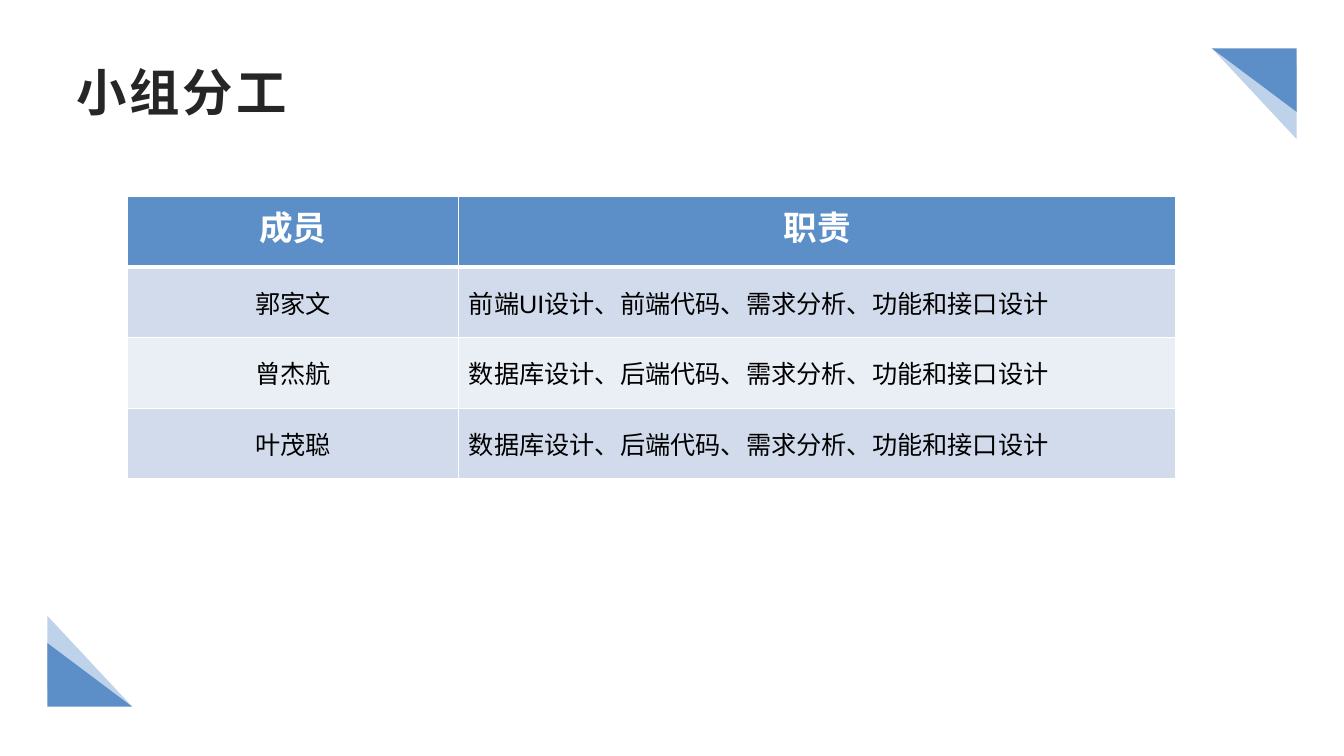
from dataclasses import dataclass

from lxml import etree
from pptx import Presentation
from pptx.dml.color import RGBColor
from pptx.enum.shapes import MSO_SHAPE
from pptx.enum.text import MSO_ANCHOR, PP_ALIGN
from pptx.oxml.ns import qn
from pptx.util import Inches, Pt

TRIANGLE = MSO_SHAPE.ISOSCELES_TRIANGLE
TOP, MIDDLE = MSO_ANCHOR.TOP, MSO_ANCHOR.MIDDLE
LEFT, CENTER = PP_ALIGN.LEFT, PP_ALIGN.CENTER


@dataclass(frozen=True)
class Theme:
    """Colours, fonts and type sizes of the slide."""
    blue: str = "5C8FC7"
    pale: str = "BED2E9"
    bands: tuple = ("D2DBEB", "EAEEF5")
    white: str = "FFFFFF"
    black: str = "000000"
    dark: str = "262626"
    latin: str = "Arial"
    asian: str = "Noto Sans CJK SC"
    title: int = 36
    head: int = 24
    body: int = 18


THEME = Theme()
ROWS = [
    ("成员", "职责"),
    ("郭家文", "前端UI设计、前端代码、需求分析、功能和接口设计"),
    ("曾杰航", "数据库设计、后端代码、需求分析、功能和接口设计"),
    ("叶茂聪", "数据库设计、后端代码、需求分析、功能和接口设计"),
]


def write(frame, text, *, size, color, font=THEME.latin, bold=False,
          align=LEFT, space=0):
    """Put one formatted line of text into a frame."""
    para = frame.paragraphs[0]
    para.alignment = align
    run = para.add_run()
    run.text = text
    run.font.name = font
    run.font.size = Pt(size)
    run.font.bold = bold
    run.font.color.rgb = RGBColor.from_string(color)
    props = run.font._element
    etree.SubElement(props, qn("a:ea")).set("typeface", THEME.asian)
    if space:
        props.set("spc", str(space * 100))


def paint(shape, color):
    """Give a shape a flat fill with no line or shadow."""
    shape.shadow.inherit = False
    shape.fill.solid()
    shape.fill.fore_color.rgb = RGBColor.from_string(color)
    shape.line.fill.background()


def edge(cell, side, width):
    """Draw one white border of a cell."""
    line = etree.SubElement(cell._tc.get_or_add_tcPr(), qn("a:ln" + side))
    line.set("w", str(Pt(width)))
    fill = etree.SubElement(line, qn("a:solidFill"))
    etree.SubElement(fill, qn("a:srgbClr")).set("val", THEME.white)


def corner(slide, x, y, way):
    """Draw a pair of triangles from tip x, y; way 1 is right and down."""
    wide, high = 0.84, 0.63
    far = x + way * wide
    tip = Inches(x), Inches(y)
    pen = slide.shapes.build_freeform(*tip)
    pen.add_line_segments([(Inches(far), Inches(y + way * drop))
                           for drop in (0.17, 0.9)])
    paint(pen.convert_to_shape(), THEME.pale)
    mid_x, mid_y = x + way * wide / 2, y + way * high / 2
    front = slide.shapes.add_shape(
        TRIANGLE, Inches(mid_x - high / 2), Inches(mid_y - wide / 2),
        Inches(high), Inches(wide))
    front.adjustments[0] = 1
    front.rotation = 180 + way * 90
    paint(front, THEME.blue)


def heading(slide, x, y, wide, high):
    """Place the title in its box."""
    box = slide.shapes.add_textbox(*map(Inches, (x, y, wide, high)))
    frame = box.text_frame
    frame.word_wrap = True
    frame.vertical_anchor = MIDDLE
    frame.margin_left, frame.margin_right = Inches(0.11), Inches(0.08)
    frame.margin_top = frame.margin_bottom = Inches(0.04)
    write(frame, "小组分工", size=THEME.title, color=THEME.dark,
          font=THEME.asian, bold=True, space=2)


def duties(slide, x, y, wide, high):
    """Place the table of members and duties in its box."""
    table = slide.shapes.add_table(
        len(ROWS), 2, *map(Inches, (x, y, wide, high))).table
    table.horz_banding = False
    first = 3.29
    table.columns[0].width = Inches(first)
    table.columns[1].width = Inches(wide - first)
    for r, row in enumerate(ROWS):
        table.rows[r].height = Inches(high / len(ROWS))
        head = r == 0
        for c, text in enumerate(row):
            cell = table.cell(r, c)
            edge(cell, "L", 1)
            edge(cell, "R", 1)
            edge(cell, "T", 3 if r == 1 else 1)
            edge(cell, "B", 3 if head else 1)
            cell.fill.solid()
            cell.fill.fore_color.rgb = RGBColor.from_string(
                THEME.blue if head else THEME.bands[(r - 1) % 2])
            cell.vertical_anchor = TOP if head else MIDDLE
            write(cell.text_frame, text, bold=head,
                  size=THEME.head if head else THEME.body,
                  color=THEME.white if head else THEME.black,
                  align=CENTER if head or c == 0 else LEFT)


def main():
    """Build and save the slide."""
    deck = Presentation()
    deck.slide_width, deck.slide_height = Inches(13.33), Inches(7.5)
    slide = deck.slides.add_slide(deck.slide_layouts[6])
    corner(slide, 12.02, 0.48, 1)
    corner(slide, 1.31, 7.01, -1)
    heading(slide, 0.65, 0.51, 10.53, 0.79)
    duties(slide, 1.26, 1.95, 10.4, 2.8)
    deck.save("out.pptx")


if __name__ == "__main__":
    main()
